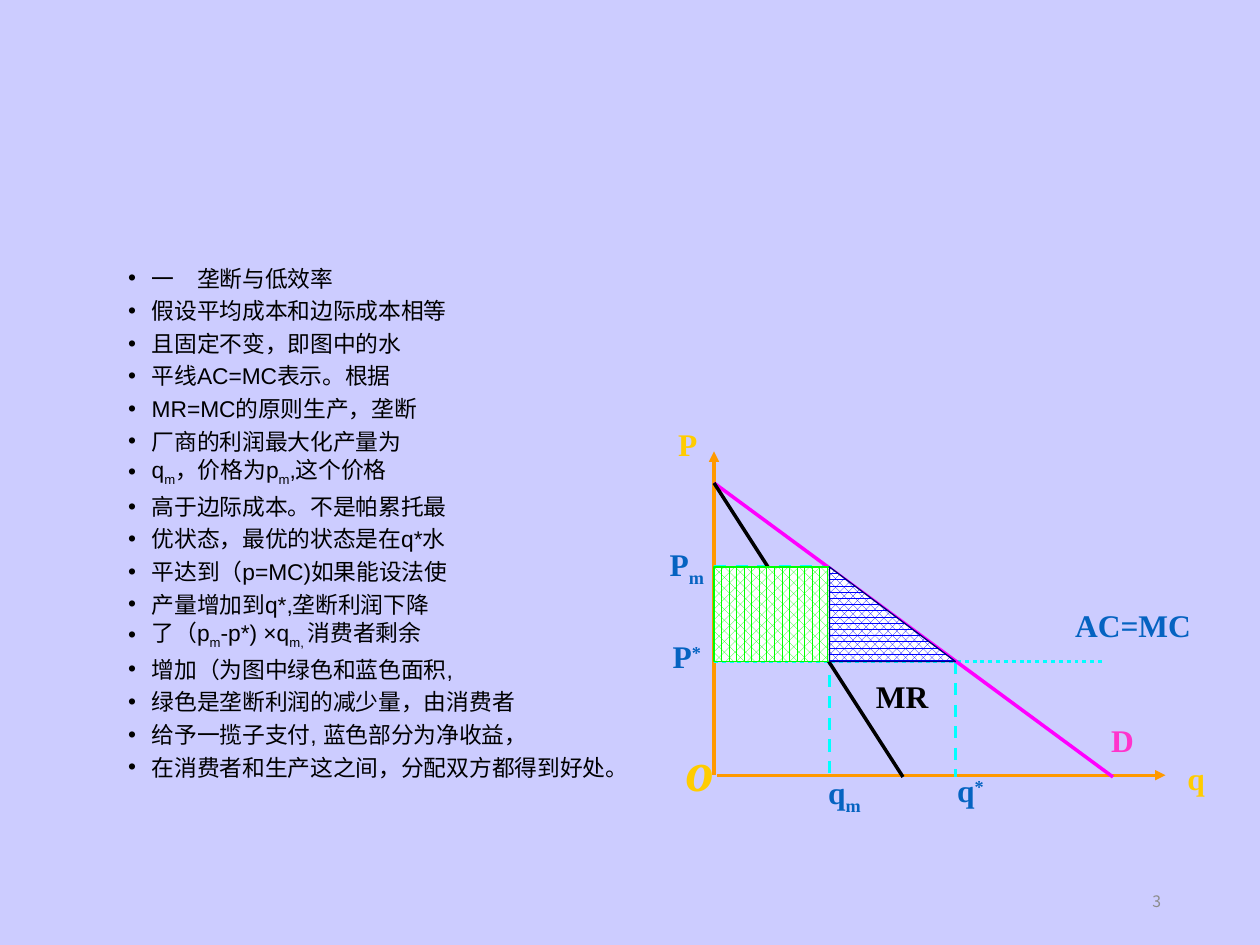
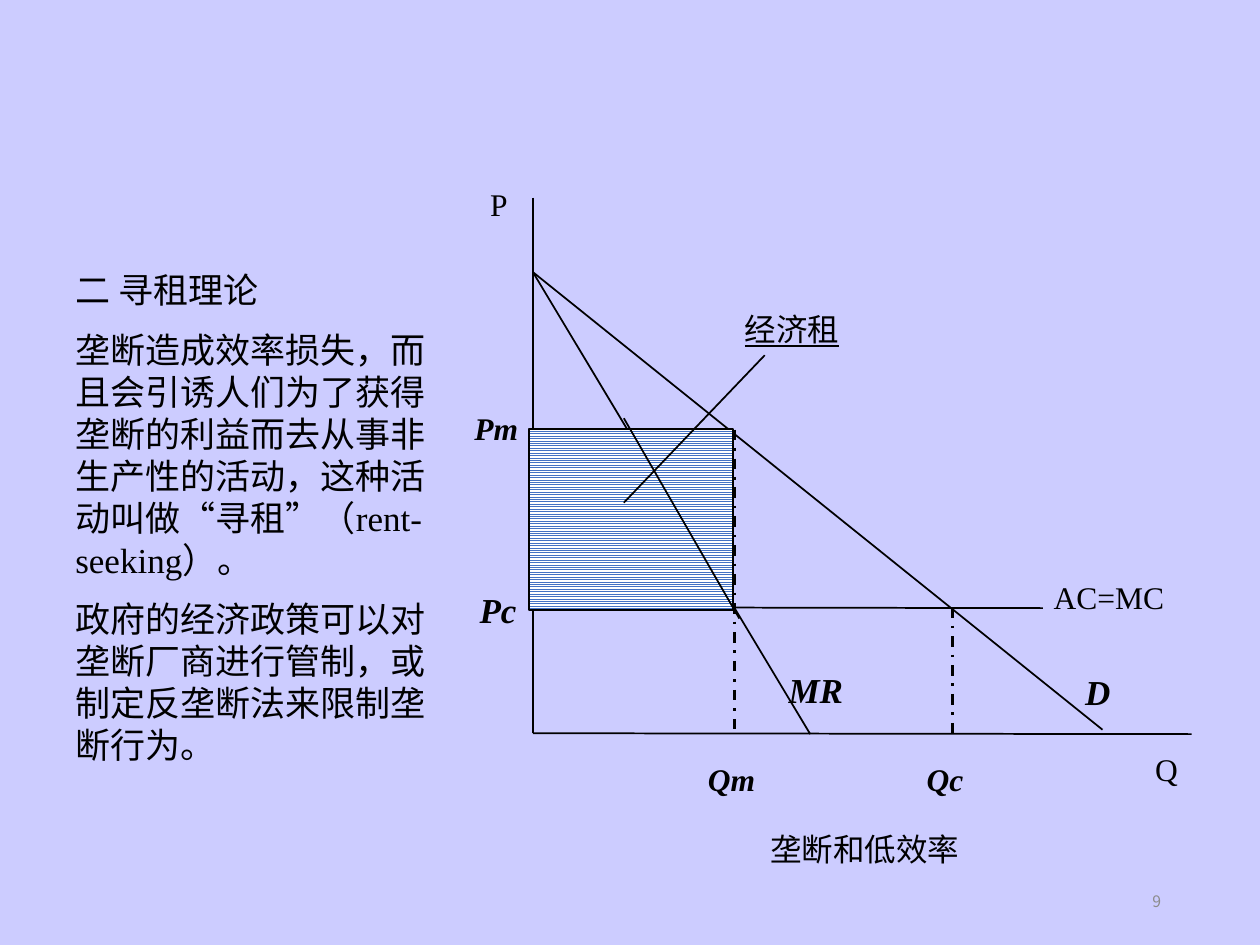
from lxml import etree
from pptx import Presentation
from pptx.dml.color import RGBColor
from pptx.enum import dml, shapes, text
from pptx.oxml import ns
from pptx.util import Pt

LAVENDER = RGBColor(0xCC, 0xCC, 0xFF)
BLACK = RGBColor(0, 0, 0)
WHITE = RGBColor(0xFF, 0xFF, 0xFF)
GRAY = RGBColor(0x8C, 0x8C, 0x8C)
ORANGE = RGBColor(0xFF, 0x99, 0x00)
GOLD = RGBColor(0xFF, 0xCC, 0x00)
LABEL_BLUE = RGBColor(0x05, 0x63, 0xC1)
CYAN = RGBColor(0, 0xFF, 0xFF)
PINK = RGBColor(0xFF, 0x33, 0xCC)
MAGENTA = RGBColor(0xFF, 0, 0xFF)
GREEN = RGBColor(0, 0xFF, 0)
BLUE = RGBColor(0, 0, 0xFF)
NAVY = RGBColor(0, 0, 0x80)
RENT_BLUE = RGBColor(0x44, 0x72, 0xC4)
SERIF, SANS, CJK = "Times New Roman", "Arial", "Noto Sans CJK SC"
BASELINES = {"_": "-25000", "^": "30000"}
DASH = dml.MSO_LINE


def write(paragraph, content, face, color, **style):
    """Split content at "|"; a part led by _ is subscript, by ^ superscript."""
    for part in content.split("|"):
        run = paragraph.add_run()
        run.text = part.lstrip("_^")
        run.font.name = face
        run.font.color.rgb = color
        for key, value in style.items():
            setattr(run.font, key, value)
        properties = run.font._element
        etree.SubElement(properties, ns.qn("a:ea")).set("typeface", CJK)
        if part[0] in BASELINES:
            properties.set("baseline", BASELINES[part[0]])


def draw_line(slide, start, end, color, width, dash=None, arrow=False):
    line = slide.shapes.add_connector(
        shapes.MSO_CONNECTOR.STRAIGHT, *[Pt(v) for v in (*start, *end)])
    line.line.color.rgb = color
    line.line.width = Pt(width)
    if dash:
        line.line.dash_style = dash
    if arrow:
        etree.SubElement(line.line._ln, ns.qn("a:tailEnd")).set("type", "triangle")
    etree.SubElement(line._element.spPr, ns.qn("a:effectLst"))


prs = Presentation()
prs.slide_width, prs.slide_height = Pt(720), Pt(540)
background = prs.slide_master.background.fill
background.solid()
background.fore_color.rgb = LAVENDER

welfare = prs.slides.add_slide(prs.slide_layouts[1])
rent_seeking = prs.slides.add_slide(prs.slide_layouts[6])

for slide, number in ((welfare, "3"), (rent_seeking, "9")):
    page = slide.shapes.add_textbox(Pt(508.5), Pt(500.5), Pt(162), Pt(28.75))
    page.text_frame.vertical_anchor = text.MSO_ANCHOR.MIDDLE
    paragraph = page.text_frame.paragraphs[0]
    paragraph.alignment = text.PP_ALIGN.RIGHT
    write(paragraph, number, CJK, GRAY, size=Pt(9))

# Slide 1: monopoly and inefficiency
title = welfare.shapes.title
title._element.getparent().remove(title._element)
argument = welfare.placeholders[1]
argument.left, argument.top, argument.width, argument.height = (
    Pt(66), Pt(152), Pt(612), Pt(324))
argument.text_frame.auto_size = text.MSO_AUTO_SIZE.NONE
argument_lines = [
    "一　垄断与低效率",
    "假设平均成本和边际成本相等",
    "且固定不变，即图中的水",
    "平线AC=MC表示。根据",
    "MR=MC的原则生产，垄断",
    "厂商的利润最大化产量为",
    "q|_m|，价格为p|_m|,这个价格",
    "高于边际成本。不是帕累托最",
    "优状态，最优的状态是在q*水",
    "平达到（p=MC)如果能设法使",
    "产量增加到q*,垄断利润下降",
    "了（p|_m|-p*) ×q|_m, |消费者剩余",
    "增加（为图中绿色和蓝色面积,",
    "绿色是垄断利润的减少量，由消费者",
    "给予一揽子支付, 蓝色部分为净收益，",
    "在消费者和生产这之间，分配双方都得到好处。",
]
for i, content in enumerate(argument_lines):
    frame = argument.text_frame
    paragraph = frame.add_paragraph() if i else frame.paragraphs[0]
    paragraph.line_spacing = Pt(11.1)
    paragraph.space_before = Pt(7.5 if i else 0)
    indent = paragraph._p.get_or_add_pPr()
    indent.set("marL", str(Pt(13.5)))
    indent.set("indent", str(-Pt(13.5)))
    write(paragraph, content, SANS, BLACK, size=Pt(13))

price_axis, monopoly_q, optimal_q = 408, 474, 546
choke_price, monopoly_p, optimal_p, quantity_axis = 276, 324, 378, 443
foot = quantity_axis + 1

draw_line(welfare, (410, quantity_axis), (666, quantity_axis), ORANGE, 1.75, arrow=True)
draw_line(welfare, (price_axis, quantity_axis), (price_axis, 258), ORANGE, 1.75, arrow=True)
draw_line(welfare, (price_axis, optimal_p), (630, optimal_p), CYAN, 2.25, DASH.ROUND_DOT)
draw_line(welfare, (price_axis, monopoly_p), (monopoly_q, monopoly_p), CYAN, 1.75, DASH.DASH)
draw_line(welfare, (monopoly_q, monopoly_p), (monopoly_q, foot), CYAN, 1.75, DASH.DASH)
draw_line(welfare, (optimal_q, optimal_p), (optimal_q, foot), CYAN, 1.75, DASH.DASH)

# left, top, width, content, size, colour, italic
welfare_labels = [
    (372, 405, 39, "o", 32, GOLD, True),
    (657, 425, 36, "q", 18, GOLD, False),
    (366, 234, 37, "P", 18, GOLD, False),
    (570, 337.5, 138, "AC=MC", 18, LABEL_BLUE, False),
    (354, 301.5, 60, "P|_m", 18, LABEL_BLUE, False),
    (354, 355.5, 60, "P|^*", 18, LABEL_BLUE, False),
    (444, 432, 60, "q|_m", 18, LABEL_BLUE, False),
    (516, 432, 60, "q|^*", 18, LABEL_BLUE, False),
    (594, 403.5, 78, "D", 18, PINK, False),
    (468, 378, 78, "MR", 18, BLACK, False),
]
for left, top, width, content, size, color, italic in welfare_labels:
    label = welfare.shapes.add_textbox(Pt(left), Pt(top), Pt(width), Pt(52.5))
    frame = label.text_frame
    frame.word_wrap = True
    frame.margin_left, frame.margin_top = Pt(20), 0
    frame.margin_right, frame.margin_bottom = Pt(3), Pt(12)
    paragraph = frame.paragraphs[0]
    paragraph.alignment = text.PP_ALIGN.CENTER
    paragraph.line_spacing = 1.4
    write(paragraph, content, SERIF, color, size=Pt(size), bold=True, italic=italic)

draw_line(welfare, (price_axis, choke_price), (636, foot), MAGENTA, 2)
draw_line(welfare, (price_axis, choke_price), (516, foot), BLACK, 2)

# Slide 2: axes, demand, marginal revenue, cost and guides
origin_x, origin_y, choke = 304.5, 419, 155.5
rent_p, cost_p, rent_q, competitive_q = 245.5, 347, 419.75, 544.25
for start, end in (
    ((origin_x, 113), (origin_x, origin_y)),
    ((origin_x, origin_y), (681, 419.5)),
    ((origin_x, choke), (630, 417)),
    ((origin_x, choke), (463, 419.5)),
    ((origin_x, cost_p), (596, 347.5)),
    ((origin_x, rent_p), (419, rent_p)),
):
    draw_line(rent_seeking, start, end, BLACK, 1)
for quantity, price in ((competitive_q, cost_p), (rent_q, rent_p)):
    draw_line(rent_seeking, (quantity, price), (quantity, origin_y), BLACK, 1.5, DASH.DASH_DOT)

# Patterned areas of both diagrams
RECT, TRIANGLE = shapes.MSO_SHAPE.RECTANGLE, shapes.MSO_SHAPE.RIGHT_TRIANGLE
PATTERN = dml.MSO_PATTERN
margin_height = optimal_p - monopoly_p
areas = [
    (welfare, RECT, (price_axis, monopoly_p, monopoly_q - price_axis, margin_height),
     PATTERN.PERCENT_60, GREEN, GREEN, 0.75),
    (welfare, TRIANGLE, (monopoly_q, monopoly_p, optimal_q - monopoly_q, margin_height),
     PATTERN.PERCENT_70, BLUE, NAVY, 0.75),
    (rent_seeking, RECT, (302.5, 245, 116.5, 103.5),
     PATTERN.NARROW_HORIZONTAL, RENT_BLUE, BLACK, 1),
]
for slide, outline, box, pattern, color, edge, width in areas:
    area = slide.shapes.add_shape(outline, *[Pt(v) for v in box])
    area.shadow.inherit = False
    area.fill.patterned()
    area.fill.pattern = pattern
    area.fill.fore_color.rgb = color
    area.fill.back_color.rgb = WHITE
    area.line.color.rgb = edge
    area.line.width = Pt(width)

draw_line(rent_seeking, (356.5, 239), (422.5, 353.5), BLACK, 1)
draw_line(rent_seeking, (356.5, 287.25), (437, 203), BLACK, 1)

plain, underlined = {}, {"underline": True}
strong = {"bold": True, "italic": True}
# left, top, width, content, size, style
rent_labels = [
    (264, 230, 50, "Pm", 18, strong),
    (267, 332.5, 50, "Pc", 20, strong),
    (397.5, 430.5, 52, "Qm", 18, strong),
    (522.5, 430.5, 50, "Qc", 18, strong),
    (595, 327, 100, "AC=MC", 18, plain),
    (418.5, 173.5, 90, "经济租", 18, underlined),
    (443.5, 378.5, 60, "MR", 20, strong),
    (613, 379.5, 40, "D", 20, strong),
    (653, 425, 40, "Q", 18, plain),
    (273, 102, 40, "P", 18, plain),
    (433, 471, 150, "垄断和低效率", 18, plain),
]
for left, top, width, content, size, style in rent_labels:
    label = rent_seeking.shapes.add_textbox(Pt(left), Pt(top), Pt(width), Pt(29))
    label.text_frame.word_wrap = True
    paragraph = label.text_frame.paragraphs[0]
    paragraph.line_spacing = Pt(1.2 * size)
    write(paragraph, content, SERIF, BLACK, size=Pt(size), **style)

theory = rent_seeking.shapes.add_textbox(Pt(36), Pt(150), Pt(227), Pt(295))
theory.text_frame.word_wrap = True
for i, content in enumerate((
    "二 寻租理论",
    "垄断造成效率损失，而且会引诱人们为了获得垄断的利益而去从事非生产性的活动，"
    "这种活动叫做“寻租”（rent-seeking）。",
    "政府的经济政策可以对垄断厂商进行管制，或制定反垄断法来限制垄断行为。",
)):
    frame = theory.text_frame
    paragraph = frame.add_paragraph() if i else frame.paragraphs[0]
    paragraph.line_spacing = Pt(24)
    paragraph.space_before = Pt(10 if i else 0)
    write(paragraph, content, SERIF, BLACK, size=Pt(20))

prs.save("out.pptx")
